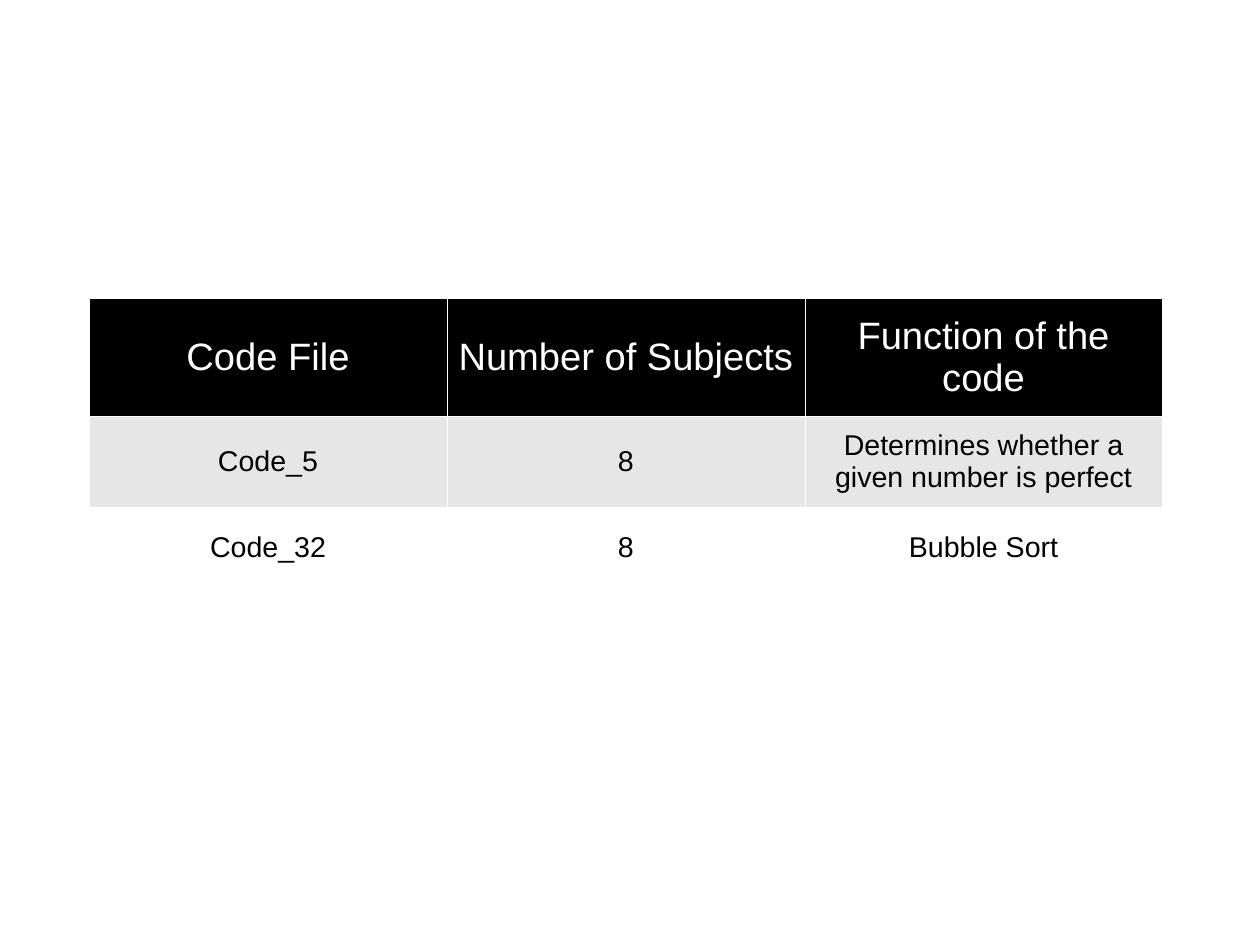
from lxml.etree import SubElement
from pptx import Presentation
from pptx.dml.color import RGBColor
from pptx.enum.text import MSO_ANCHOR, PP_ALIGN
from pptx.oxml.ns import qn
from pptx.util import Inches, Pt

ROWS = [
    ("Code File", "Number of Subjects", "Function of the code"),
    ("Code_5", "8", "Determines whether a given number is perfect"),
    ("Code_32", "8", "Bubble Sort"),
]
HIGH = [1.03, 0.8, 0.71]
FILLS = ["000000", "E6E6E6", "FFFFFF"]
INKS = ["FFFFFF", "000000", "000000"]
SIZES = [24, 18, 18]
LEFT, TOP, WIDE = 0.78, 2.61, 3.13
EDGE, LINE = "FFFFFF", 0.06


def color(code):
    return RGBColor.from_string(code)


def style(item, form):
    for name, value in form.items():
        setattr(item, name, value)


def border(cell):
    props = cell._tc.get_or_add_tcPr()
    for side in ("lnL", "lnR", "lnT", "lnB"):
        line = SubElement(props, qn(f"a:{side}"), w=str(Pt(LINE)))
        fill = SubElement(line, qn("a:solidFill"))
        SubElement(fill, qn("a:srgbClr"), val=EDGE)


def paint(cell, text, fill, ink, size):
    border(cell)
    cell.fill.solid()
    cell.fill.fore_color.rgb = color(fill)
    style(cell, {"text": text, "vertical_anchor": MSO_ANCHOR.MIDDLE})
    para = cell.text_frame.paragraphs[0]
    para.alignment = PP_ALIGN.CENTER
    font = para.runs[0].font
    style(font, {"name": "Arial", "size": Pt(size), "bold": False})
    font.color.rgb = color(ink)


def main():
    deck = Presentation()
    deck.slide_width = Inches(28 / 2.54)
    deck.slide_height = Inches(21 / 2.54)
    slide = deck.slides.add_slide(deck.slide_layouts[6])
    count = len(ROWS[0])
    frame = slide.shapes.add_table(
        len(ROWS), count, Inches(LEFT), Inches(TOP),
        Inches(WIDE * count), Inches(sum(HIGH)))
    table = frame.table
    style(table, {"first_row": True, "horz_banding": False})
    for col in table.columns:
        col.width = Inches(WIDE)
    for row, high, texts, *look in zip(
            table.rows, HIGH, ROWS, FILLS, INKS, SIZES):
        row.height = Inches(high)
        for cell, text in zip(row.cells, texts):
            paint(cell, text, *look)
    deck.save("out.pptx")


if __name__ == "__main__":
    main()
